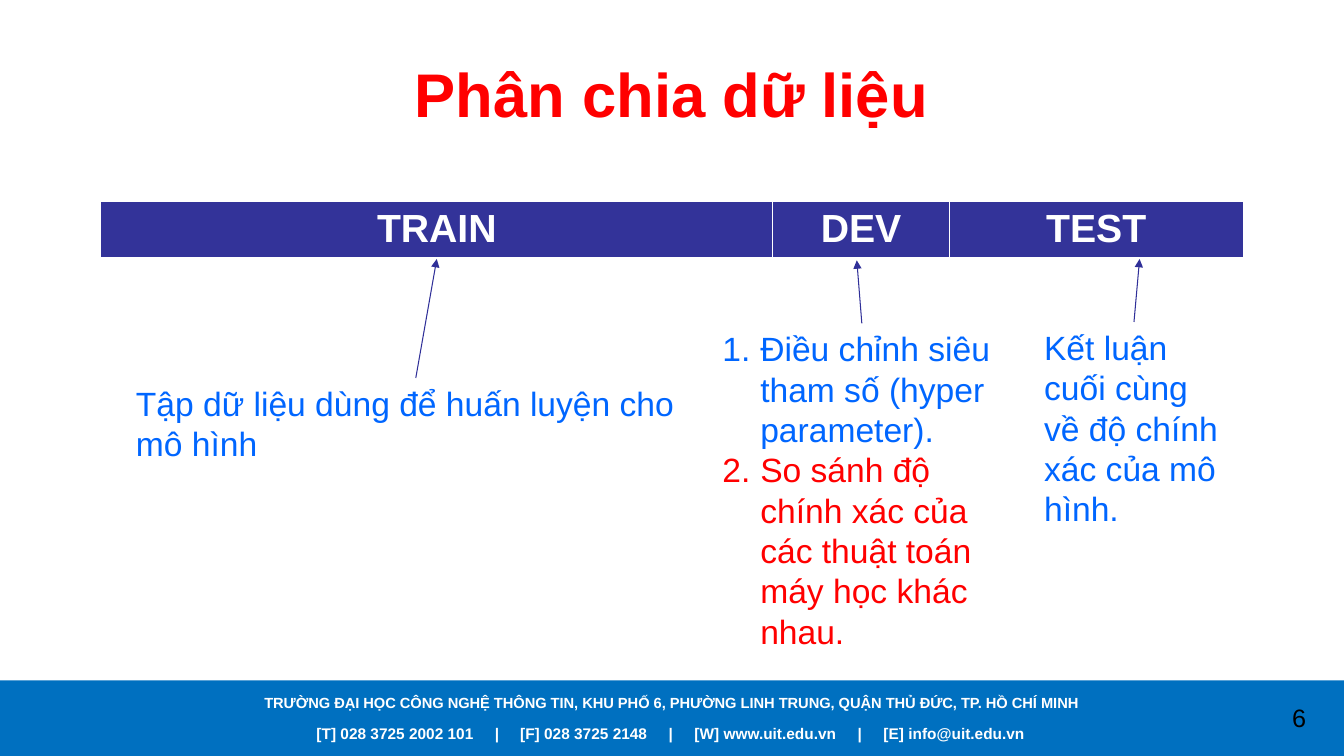
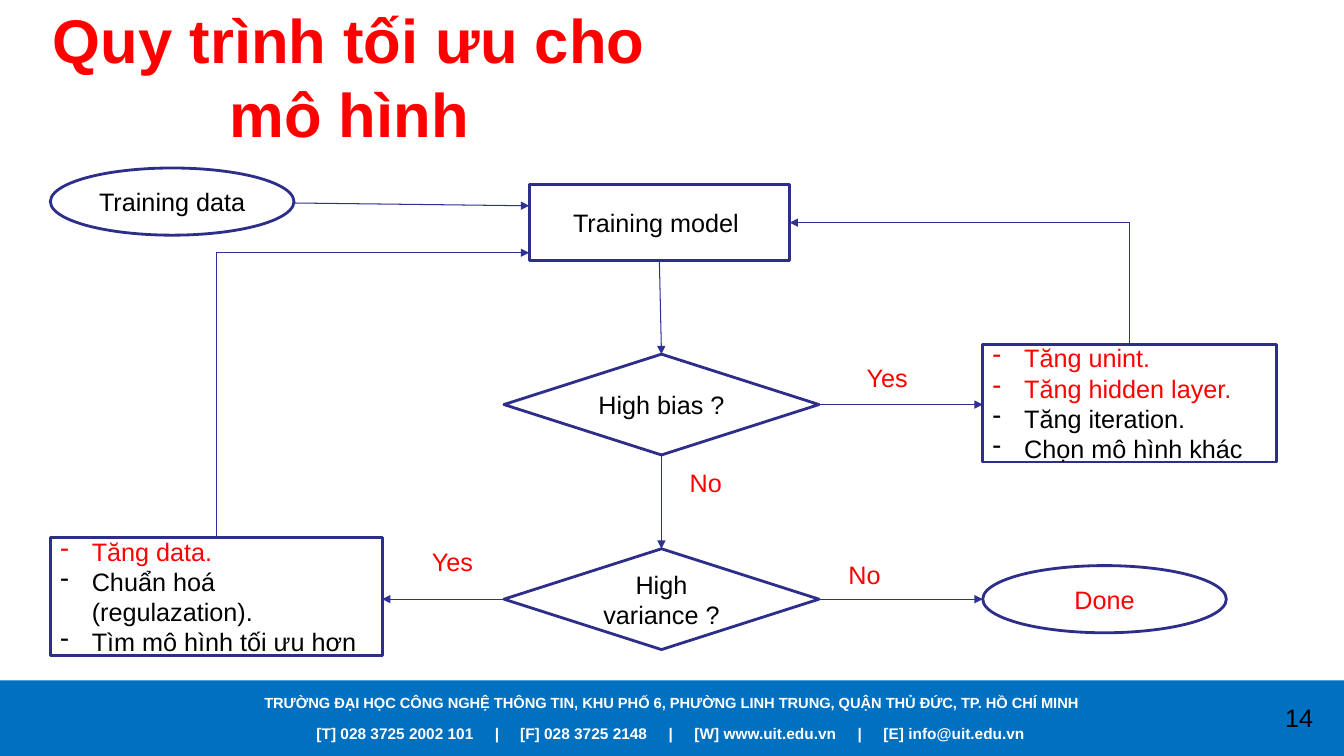
from dataclasses import dataclass

from lxml import etree
from pptx import Presentation
from pptx.dml.color import RGBColor
from pptx.enum import shapes as es, text as et
from pptx.oxml import ns
from pptx.util import Pt


@dataclass(frozen=True)
class Theme:
    font: str = "Arial"
    white: str = "FFFFFF"
    black: str = "000000"
    red: str = "FF0000"
    blue: str = "0066FF"
    band: str = "0070C0"
    bar: str = "333399"
    edge: str = "2D2D8A"
    wire: str = "2F2F98"
    title: float = 44
    head: float = 28
    body: float = 24
    node: float = 18
    small: float = 10.5
    mail: float = 11


T = Theme()
WIDE, HIGH = 960, 540
KIND = es.MSO_SHAPE
MID = et.PP_ALIGN.CENTER
TOP, LEFT, BASE, RIGHT = range(4)


def rgb(code):
    return RGBColor.from_string(code)


def sub(node, tag, **attrs):
    return etree.SubElement(node, ns.qn(tag), attrs)


def emu(num):
    return str(int(Pt(num)))


def add_run(para, words, size, color, bold=False):
    run = para.add_run()
    run.text = words
    font = run.font
    font.name, font.size, font.bold = T.font, Pt(size), bold
    font.color.rgb = rgb(color)


def write(frame, lines, size, align=None, bold=False, mark=None, dent=0):
    for num, (words, color) in enumerate(lines):
        para = frame.add_paragraph() if num else frame.paragraphs[0]
        para.alignment = align or et.PP_ALIGN.LEFT
        if mark:
            props = para._p.get_or_add_pPr()
            props.set("marL", emu(dent))
            props.set("indent", emu(-dent))
            if mark == "-":
                sub(props, "a:buChar", char=mark)
            else:
                sub(props, "a:buAutoNum", type=mark)
        add_run(para, words, size, color, bold)


def label(slide, box, lines, size, wrap=True, anchor=et.MSO_ANCHOR.TOP, **style):
    frame = slide.shapes.add_textbox(*map(Pt, box)).text_frame
    frame.word_wrap = wrap
    frame.vertical_anchor = anchor
    write(frame, lines, size, **style)
    return frame


def block(slide, kind, box, fill, edge=None):
    shape = slide.shapes.add_shape(kind, *map(Pt, box))
    shape.shadow.inherit = False
    shape.fill.solid()
    shape.fill.fore_color.rgb = rgb(fill)
    if edge:
        shape.line.color.rgb = rgb(edge)
        shape.line.width = Pt(2)
    else:
        shape.line.fill.background()
    return shape


def node(slide, kind, box, lines, **style):
    shape = block(slide, kind, box, T.white, T.edge)
    frame = shape.text_frame
    frame.word_wrap = True
    frame.vertical_anchor = et.MSO_ANCHOR.MIDDLE
    write(frame, lines, T.node, **style)
    return shape


def link(slide, start, end, bent=False):
    kind = es.MSO_CONNECTOR.ELBOW if bent else es.MSO_CONNECTOR.STRAIGHT
    spots = [(0, 0) if hasattr(spot[0], "shape_id") else spot for spot in (start, end)]
    wire = slide.shapes.add_connector(kind, *(Pt(num) for spot in spots for num in spot))
    for spot, glue in ((start, wire.begin_connect), (end, wire.end_connect)):
        if hasattr(spot[0], "shape_id"):
            glue(*spot)
    wire.line.color.rgb = rgb(T.wire)
    wire.line.width = Pt(0.75)
    props = wire._element.spPr
    if bent:
        props.find(ns.qn("a:prstGeom")).set("prst", "bentConnector2")
    sub(props.find(ns.qn("a:ln")), "a:headEnd" if bent else "a:tailEnd", type="triangle")
    sub(props, "a:effectLst")


def footer(slide, page, top=486):
    block(slide, KIND.RECTANGLE, (0, top, WIDE, HIGH - top), T.band)
    place = "TRƯỜNG ĐẠI HỌC CÔNG NGHỆ THÔNG TIN, KHU PHỐ 6, PHƯỜNG LINH TRUNG, QUẬN THỦ ĐỨC, TP. HỒ CHÍ MINH"
    label(slide, (0, top + 6, WIDE, 20), [(place, T.white)], T.small, align=MID, bold=True)
    parts = ["[T] 028 3725 2002 101", "[F] 028 3725 2148",
             "[W] www.uit.edu.vn", "[E] info@uit.edu.vn"]
    frame = label(slide, (219, top + 27.5, 540, 21), [], T.mail)
    para = frame.paragraphs[0]
    tabs = sub(para._p.get_or_add_pPr(), "a:tabLst")
    for stop in (127.5, 145.5, 251.5, 270, 386.5, 405):
        sub(tabs, "a:tab", pos=emu(stop), algn="l")
    add_run(para, "\t|\t".join(parts), T.mail, T.white, True)
    label(slide, (896, top + 12, 64, 29), [(str(page), T.black)], T.node, align=MID)


def start(deck, title, box, page):
    slide = deck.slides.add_slide(deck.slide_layouts[6])
    footer(slide, page)
    label(slide, box, [(title, T.red)], T.title, anchor=et.MSO_ANCHOR.MIDDLE,
          align=MID, bold=True)
    return slide


def split_bar(slide, box, parts):
    table = slide.shapes.add_table(1, len(parts), *map(Pt, box)).table
    for num, (name, width) in enumerate(parts):
        table.columns[num].width = Pt(width)
        cell = table.cell(0, num)
        props = cell._tc.get_or_add_tcPr()
        for side, size in (("L", 1), ("R", 1), ("T", 1), ("B", 3)):
            line = sub(props, f"a:ln{side}", w=emu(size))
            sub(sub(line, "a:solidFill"), "a:srgbClr", val=T.white)
        cell.fill.solid()
        cell.fill.fore_color.rgb = rgb(T.bar)
        write(cell.text_frame, [(name, T.white)], T.head, align=MID, bold=True)


def split_slide(deck):
    slide = start(deck, "Phân chia dữ liệu", (48, 21.6, 864, 90), 6)
    split_bar(slide, (72, 144, 816, 30), [("TRAIN", 480), ("DEV", 126), ("TEST", 210)])
    label(slide, (90, 270, 414, 65.5),
          [("Tập dữ liệu dùng để huấn luyện cho mô hình", T.blue)], T.body)
    label(slide, (509, 231, 213, 240),
          [("Điều chỉnh siêu tham số (hyper parameter).", T.blue),
           ("So sánh độ chính xác của các thuật toán máy học khác nhau.", T.red)],
          T.body, mark="arabicPeriod", dent=27)
    label(slide, (738.7, 230, 142, 153),
          [("Kết luận cuối cùng về độ chính xác của mô hình.", T.blue)], T.body)
    for tail, tip in (((297, 270), (312, 185)),
                      ((615.6, 231), (612, 186)),
                      ((810, 230), (814, 185))):
        link(slide, tail, tip)


def flow_slide(deck):
    slide = start(deck, "Quy trình tối ưu cho mô hình", (0.5, 12, 498, 84), 14)
    far = 702
    node(slide, KIND.OVAL, (36, 120, 174, 48), [("Training data", T.black)], align=MID)
    model = node(slide, KIND.RECTANGLE, (378, 132, 186, 54),
                 [("Training model ", T.black)], align=MID)
    bias, spread = (
        node(slide, KIND.DIAMOND, (360, top, 225, 72), [(ask, T.black)], align=MID)
        for top, ask in ((253, "High bias ?"), (392, "High variance ?")))
    fixes = [("Tăng unint.", T.red), ("Tăng hidden layer.", T.red),
             ("Tăng iteration.", T.black), ("Chọn mô hình khác", T.black)]
    cures = [("Tăng data.", T.red), ("Chuẩn hoá (regulazation).", T.black),
             ("Tìm mô hình tối ưu hơn", T.black)]
    fix, cure = (
        node(slide, KIND.RECTANGLE, box, lines, mark="-", dent=22.5)
        for box, lines in (((far, 246, 210, 84), fixes), ((36, 384, 237, 84), cures)))
    node(slide, KIND.OVAL, (far, 404, 174, 48), [("Done", T.red)], align=MID)

    link(slide, (210, 145), (378, 147))
    link(slide, (model, BASE), (bias, TOP))
    link(slide, (bias, RIGHT), (far, 289))
    link(slide, (bias, BASE), (spread, TOP))
    link(slide, (spread, LEFT), (273, 428))
    link(slide, (spread, RIGHT), (far, 428))
    link(slide, (model, RIGHT), (fix, TOP), bent=True)
    link(slide, (378, 180.5), (cure, TOP), bent=True)

    for left, top, word in ((612, 255.5, "Yes"), (485.5, 330, "No"),
                            (301.5, 387, "Yes"), (599, 396, "No")):
        label(slide, (left, top, 44 if word == "Yes" else 37.5, 29),
              [(word, T.red)], T.node, wrap=False)


def main():
    deck = Presentation()
    deck.slide_width, deck.slide_height = Pt(WIDE), Pt(HIGH)
    split_slide(deck)
    flow_slide(deck)
    deck.save("out.pptx")


if __name__ == "__main__":
    main()
